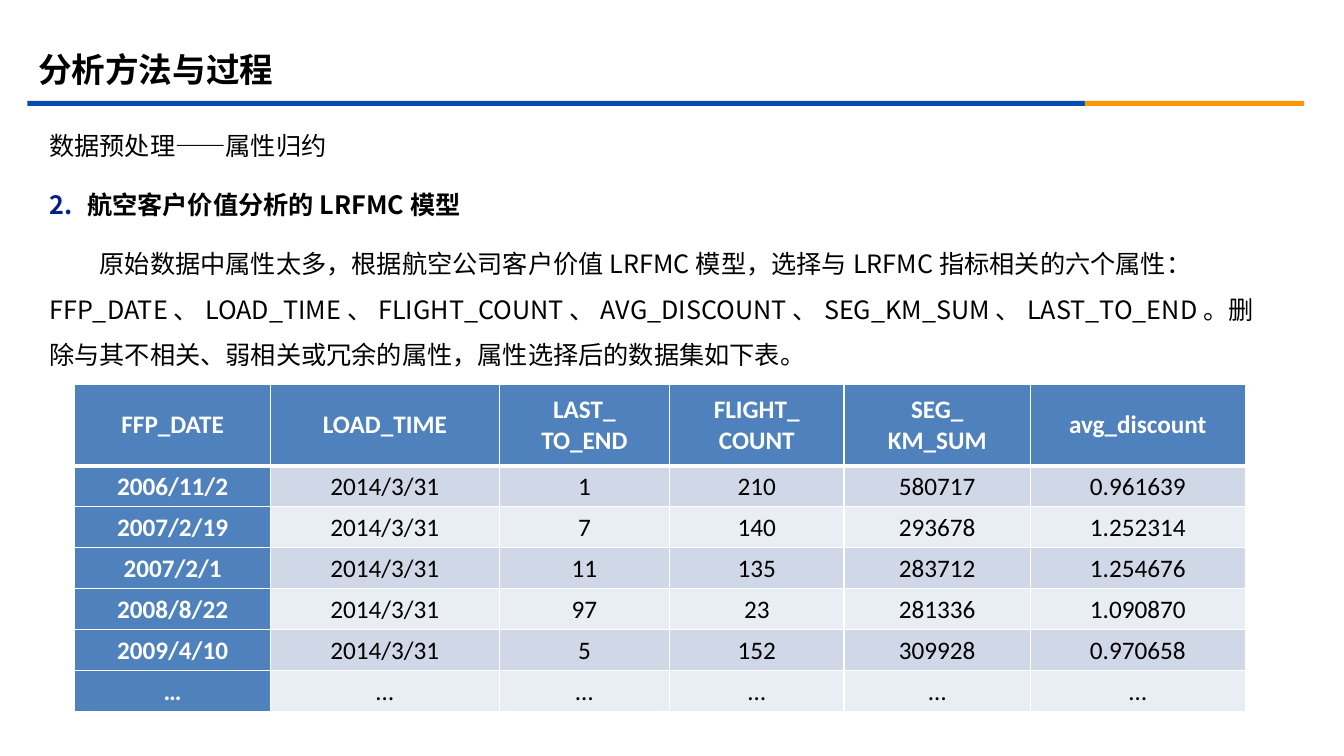
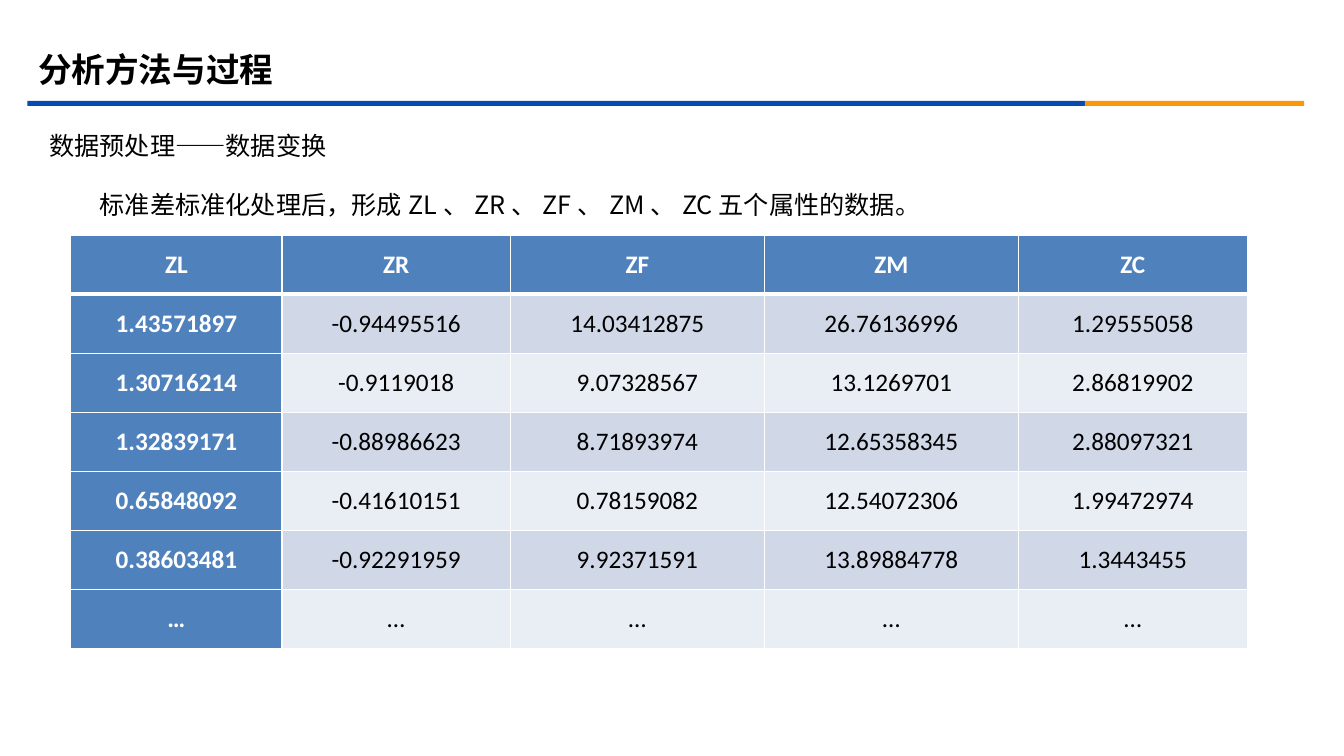
from dataclasses import dataclass

import pptx
import pptx.dml.color
import pptx.enum.shapes
import pptx.enum.text
import pptx.oxml
import pptx.oxml.ns
import pptx.presentation
import pptx.shapes.autoshape
import pptx.slide
import pptx.table
import pptx.text.text
import pptx.util

Pt = pptx.util.Pt

COLORS = {
    "black": "000000",
    "white": "FFFFFF",
    "band_blue": "064BB2",
    "band_orange": "FB9708",
    "number": "032089",
    "header": "4F81BD",
    "odd_row": "D0D8E8",
    "even_row": "E9EDF4",
}
TEXT_FONT = "Noto Sans CJK SC"
TABLE_FONT = "Calibri"
TITLE = "分析方法与过程"
TEXT_SIZE = 18
CELL_INSET = 5
THIN_BORDER = 1
HEADER_BORDER = 3
ELLIPSIS = "…"


@dataclass(frozen=True)
class Box:
    left: float
    top: float
    width: float
    height: float


@dataclass(frozen=True)
class Band:
    box: Box
    color: str


@dataclass(frozen=True)
class BodyLine:
    text: str
    margin: float = 0
    indent: float = 0
    bold: bool = False
    number: int = 0


@dataclass(frozen=True)
class DataTable:
    left: float
    top: float
    column_widths: list[float]
    header_height: float
    row_height: float
    rows: list[list[str]]


@dataclass(frozen=True)
class Page:
    lines: list[BodyLine]
    table: DataTable


TITLE_BOX = Box(20, 28, 864, 42)
BODY_BOX = Box(28, 78.5, 889, 415)
BANDS = [
    Band(Box(19.5, 72, 755.5, 3.75), "band_blue"),
    Band(Box(775, 72, 156.5, 3.75), "band_orange"),
]

PAGES = [
    Page(
        [
            BodyLine("数据预处理——属性归约"),
            BodyLine("航空客户价值分析的LRFMC模型", 27, -27, True, 2),
            BodyLine(
                "原始数据中属性太多，根据航空公司客户价值LRFMC模型，"
                "选择与LRFMC指标相关的六个属性：FFP_DATE、LOAD_TIME、"
                "FLIGHT_COUNT、AVG_DISCOUNT、SEG_KM_SUM、LAST_TO_END。"
                "删除与其不相关、弱相关或冗余的属性，属性选择后的数据集如下表。",
                indent=36,
            ),
        ],
        DataTable(
            53.5, 274.5, [139.7, 163.4, 121.7, 124.6, 133.2, 153.4], 58.3, 29.3,
            [
                ["FFP_DATE", "LOAD_TIME", "LAST_\nTO_END", "FLIGHT_\nCOUNT", "SEG_\nKM_SUM", "avg_discount"],
                ["2006/11/2", "2014/3/31", "1", "210", "580717", "0.961639"],
                ["2007/2/19", "2014/3/31", "7", "140", "293678", "1.252314"],
                ["2007/2/1", "2014/3/31", "11", "135", "283712", "1.254676"],
                ["2008/8/22", "2014/3/31", "97", "23", "281336", "1.090870"],
                ["2009/4/10", "2014/3/31", "5", "152", "309928", "0.970658"],
                [ELLIPSIS] * 6,
            ],
        ),
    ),
    Page(
        [
            BodyLine("数据预处理——数据变换"),
            BodyLine("标准差标准化处理后，形成ZL、ZR、ZF、ZM、ZC五个属性的数据。", indent=36),
        ],
        DataTable(
            50.5, 168, [151, 163, 181.5, 181.5, 163.5], 42.2, 42.2,
            [
                ["ZL", "ZR", "ZF", "ZM", "ZC"],
                ["1.43571897", "-0.94495516", "14.03412875", "26.76136996", "1.29555058"],
                ["1.30716214", "-0.9119018", "9.07328567", "13.1269701", "2.86819902"],
                ["1.32839171", "-0.88986623", "8.71893974", "12.65358345", "2.88097321"],
                ["0.65848092", "-0.41610151", "0.78159082", "12.54072306", "1.99472974"],
                ["0.38603481", "-0.92291959", "9.92371591", "13.89884778", "1.3443455"],
                [ELLIPSIS] * 5,
            ],
        ),
    ),
]


def rgb(color: str) -> pptx.dml.color.RGBColor:
    return pptx.dml.color.RGBColor.from_string(COLORS[color])


def drawing_element(xml: str):
    head, tail = xml.split(" ", 1)
    return pptx.oxml.parse_xml(f"{head} {pptx.oxml.ns.nsdecls('a')} {tail}")


def format_runs(
    paragraph: pptx.text.text._Paragraph, font: str, size: float, color: str, bold: bool
) -> None:
    for run in paragraph.runs:
        run.font.name = font
        run.font.size = Pt(size)
        run.font.bold = bold
        run.font.color.rgb = rgb(color)
        run.font._element.append(drawing_element(f'<a:ea typeface="{font}" />'))


def place(shape: pptx.shapes.autoshape.Shape, box: Box) -> None:
    shape.left, shape.top = Pt(box.left), Pt(box.top)
    shape.width, shape.height = Pt(box.width), Pt(box.height)


def add_bands(slide: pptx.slide.Slide) -> None:
    layout = slide.slide_layout
    for index, band in enumerate(BANDS):
        shape = slide.shapes.add_shape(pptx.enum.shapes.MSO_SHAPE.RECTANGLE, 0, 0, 0, 0)
        place(shape, band.box)
        shape.shadow.inherit = False
        shape.fill.solid()
        shape.fill.fore_color.rgb = rgb(band.color)
        shape.line.fill.background()
        shape.element.nvSpPr.cNvPr.set("id", str(100 + index))
        layout.shapes.element.append(shape.element)


def fill_title(slide: pptx.slide.Slide) -> None:
    title = slide.shapes.title
    title.text_frame.text = TITLE
    title.text_frame.auto_size = pptx.enum.text.MSO_AUTO_SIZE.NONE
    title.text_frame.vertical_anchor = pptx.enum.text.MSO_ANCHOR.MIDDLE
    paragraph = title.text_frame.paragraphs[0]
    paragraph.alignment = pptx.enum.text.PP_ALIGN.LEFT
    format_runs(paragraph, TEXT_FONT, 24, "black", True)


def fill_body(slide: pptx.slide.Slide, lines: list[BodyLine]) -> None:
    text_frame = slide.placeholders[1].text_frame
    text_frame.text = "\n".join(line.text for line in lines)
    text_frame.auto_size = pptx.enum.text.MSO_AUTO_SIZE.NONE
    for paragraph, line in zip(text_frame.paragraphs, lines):
        paragraph.line_spacing = 1.5
        paragraph.space_before = Pt(10)
        properties = paragraph._p.get_or_add_pPr()
        properties.set("marL", str(Pt(line.margin)))
        properties.set("indent", str(Pt(line.indent)))
        if line.number:
            color = COLORS["number"]
            properties.append(drawing_element(f'<a:buClr ><a:srgbClr val="{color}"/></a:buClr>'))
            properties.append(drawing_element(f'<a:buFont typeface="{TEXT_FONT}"/>'))
            properties.append(
                drawing_element(f'<a:buAutoNum type="arabicPeriod" startAt="{line.number}"/>')
            )
        else:
            properties.append(drawing_element("<a:buNone />"))
        format_runs(paragraph, TEXT_FONT, TEXT_SIZE, "black", line.bold)


def set_borders(cell: pptx.table._Cell, row_index: int) -> None:
    widths = {
        "lnL": THIN_BORDER,
        "lnR": THIN_BORDER,
        "lnT": HEADER_BORDER if row_index == 1 else THIN_BORDER,
        "lnB": HEADER_BORDER if row_index == 0 else THIN_BORDER,
    }
    properties = cell._tc.get_or_add_tcPr()
    for position, (side, width) in enumerate(widths.items()):
        border = drawing_element(
            f'<a:{side} w="{Pt(width)}"><a:solidFill><a:srgbClr val="{COLORS["white"]}"/>'
            f"</a:solidFill></a:{side}>"
        )
        properties.insert(position, border)


def fill_cell(cell: pptx.table._Cell, text: str, row_index: int, column_index: int) -> None:
    is_heading = row_index == 0 or column_index == 0
    row_color = "odd_row" if row_index % 2 else "even_row"
    cell.text_frame.text = text
    cell.vertical_anchor = pptx.enum.text.MSO_ANCHOR.MIDDLE
    cell.margin_left = cell.margin_right = Pt(CELL_INSET)
    cell.margin_top = cell.margin_bottom = Pt(0)
    cell.fill.solid()
    cell.fill.fore_color.rgb = rgb("header" if is_heading else row_color)
    set_borders(cell, row_index)
    for paragraph in cell.text_frame.paragraphs:
        paragraph.alignment = pptx.enum.text.PP_ALIGN.CENTER
        color = "white" if is_heading else "black"
        format_runs(paragraph, TABLE_FONT, TEXT_SIZE, color, is_heading)


def add_data_table(slide: pptx.slide.Slide, data: DataTable) -> None:
    heights = [data.header_height] + [data.row_height] * (len(data.rows) - 1)
    table = slide.shapes.add_table(
        len(heights), len(data.column_widths), Pt(data.left), Pt(data.top),
        Pt(sum(data.column_widths)), Pt(sum(heights)),
    ).table
    table.first_col = True
    for column, width in zip(table.columns, data.column_widths):
        column.width = Pt(width)
    for row_index, (row, height) in enumerate(zip(table.rows, heights)):
        row.height = Pt(height)
        for column_index, text in enumerate(data.rows[row_index]):
            fill_cell(row.cells[column_index], text, row_index, column_index)


def add_page(presentation: pptx.presentation.Presentation, page: Page) -> pptx.slide.Slide:
    slide = presentation.slides.add_slide(presentation.slide_layouts[1])
    place(slide.shapes.title, TITLE_BOX)
    place(slide.placeholders[1], BODY_BOX)
    fill_title(slide)
    fill_body(slide, page.lines)
    add_data_table(slide, page.table)
    return slide


def main() -> None:
    presentation = pptx.Presentation()
    presentation.slide_width = Pt(960)
    presentation.slide_height = Pt(540)
    slides = [add_page(presentation, page) for page in PAGES]
    add_bands(slides[0])
    presentation.save("out.pptx")


if __name__ == "__main__":
    main()
